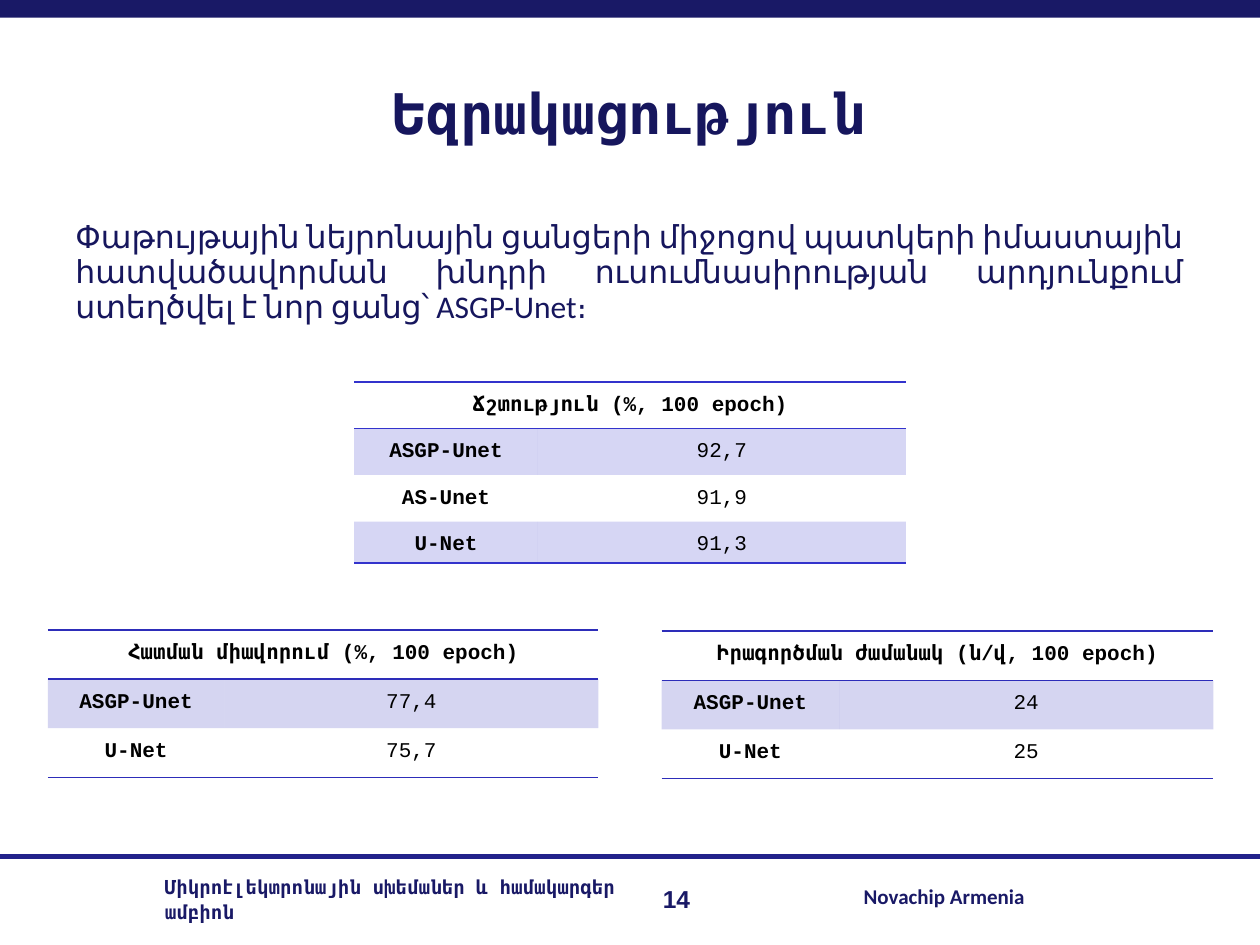
"""Build the conclusion slide with its three result tables."""
from dataclasses import dataclass

from lxml import etree
from pptx import Presentation
from pptx.dml.color import RGBColor
from pptx.enum.shapes import MSO_CONNECTOR, MSO_SHAPE
from pptx.enum.text import MSO_ANCHOR, PP_ALIGN
from pptx.oxml.ns import qn
from pptx.util import Inches, Pt

LEFT, CENTER, RIGHT, JUSTIFY = PP_ALIGN.LEFT, PP_ALIGN.CENTER, PP_ALIGN.RIGHT, PP_ALIGN.JUSTIFY
TOP, MIDDLE = MSO_ANCHOR.TOP, MSO_ANCHOR.MIDDLE
RECTANGLE, STRAIGHT = MSO_SHAPE.RECTANGLE, MSO_CONNECTOR.STRAIGHT
COLORS = {"bar": "191966", "rule": "22228B", "text": "16165D", "black": "000000",
          "accent": "3333CC", "accent_dark": "2D2DB9"}
NO_STYLE = "{2D5ABB26-0587-4C30-8999-92F81FD0307C}"
MONO = "Courier New"


@dataclass
class ResultTable:
    """One table of results: a merged heading over name and value rows."""
    at: tuple[float, float]
    columns: tuple[float, float]
    heights: list[float]
    color: str
    heading: str
    rows: list[tuple[str, str]]


TABLES = [
    ResultTable((2.81, 3.03), (1.46, 2.92), [0.37, 0.37, 0.37, 0.33], "accent",
                "Ճշտություն (%, 100 epoch)",
                [("ASGP-Unet", "92,7"), ("AS-Unet", "91,9"), ("U-Net", "91,3")]),
    ResultTable((0.38, 5), (1.4, 2.97), [0.39] * 3, "accent_dark",
                "Հատման միավորում (%, 100 epoch)",
                [("ASGP-Unet", "77,4"), ("U-Net", "75,7")]),
    ResultTable((5.25, 5.01), (1.41, 2.97), [0.39] * 3, "accent_dark",
                "Իրագործման ժամանակ (ն/վ, 100 epoch)",
                [("ASGP-Unet", "24"), ("U-Net", "25")]),
]


def rgb(name: str) -> RGBColor:
    """Return a named colour."""
    return RGBColor.from_string(COLORS[name])


def write(tf, text: str, *, size: float, font: str, color: str, bold: bool = True,
          align=LEFT, spacing: float = 0.93, before: float = 0) -> None:
    """Write one formatted paragraph, with a line break at each newline."""
    p = tf.paragraphs[0]
    p.alignment, p.line_spacing, p.space_before = align, spacing, Pt(before)
    for i, line in enumerate(text.split("\n")):
        if i:
            p.add_line_break()
        r = p.add_run()
        r.text = line
        r.font.size, r.font.name, r.font.bold = Pt(size), font, bold
        r.font.color.rgb = rgb(color)


def add_text(s, at: tuple[float, ...], text: str, *, top: float = 0.05, anchor=TOP,
             **style) -> None:
    """Add a wrapping text box."""
    tf = s.shapes.add_textbox(*map(Inches, at)).text_frame
    tf.word_wrap, tf.vertical_anchor = True, anchor
    tf.margin_left = tf.margin_right = Inches(0.1)
    tf.margin_top, tf.margin_bottom = Inches(top), Inches(0.05)
    write(tf, text, **style)


def add_border(cell, side: str, color: str) -> None:
    """Draw a one-point border on a side of a cell."""
    ln = etree.SubElement(cell._tc.get_or_add_tcPr(), qn(f"a:ln{side}"), w=str(Pt(1)))
    fill = etree.SubElement(ln, qn("a:solidFill"))
    etree.SubElement(fill, qn("a:srgbClr"), val=COLORS[color])


def fill_cell(cell, color: str | None) -> None:
    """Fill a cell with a light tint, or leave it clear."""
    if color is None:
        cell.fill.background()
        return
    cell.fill.solid()
    cell.fill.fore_color.rgb = rgb(color)
    tint = cell._tc.tcPr.find(f"{qn('a:solidFill')}/{qn('a:srgbClr')}")
    etree.SubElement(tint, qn("a:alpha"), val="20000")


def add_results(s, t: ResultTable) -> None:
    """Add a result table with ruled heading and tinted odd rows."""
    size = sum(t.columns), sum(t.heights)
    table = s.shapes.add_table(len(t.heights), 2, *map(Inches, t.at + size)).table
    table.first_row = table.horz_banding = False
    table._tbl.tblPr.find(qn("a:tableStyleId")).text = NO_STYLE
    for column, width in zip(table.columns, t.columns):
        column.width = Inches(width)
    for row, height in zip(table.rows, t.heights):
        row.height = Inches(height)
    table.cell(0, 0).merge(table.cell(0, 1))
    last = len(t.rows)
    for i, texts in enumerate([(t.heading, ""), *t.rows]):
        for j, text in enumerate(texts):
            cell = table.cell(i, j)
            cell.margin_left = cell.margin_right = Inches(0.07)
            cell.margin_top = cell.margin_bottom = 0
            if i == 0:
                add_border(cell, "T", t.color)
            if i in (0, last):
                add_border(cell, "B", t.color)
            fill_cell(cell, t.color if i % 2 else None)
            if text:
                write(cell.text_frame, text, size=12, font=MONO, color="black",
                      bold=j == 0, align=CENTER, spacing=1.5)


def add_frame(s) -> None:
    """Add the top bar, the footer rule and the footer texts."""
    bar = s.shapes.add_shape(RECTANGLE, 0, 0, Inches(10), Inches(0.14))
    bar.shadow.inherit = False
    bar.fill.solid()
    bar.fill.fore_color.rgb = rgb("bar")
    bar.line.fill.background()
    add_text(s, (6.18, 6.94, 2.05, 0.34), "Novachip Armenia", top=0.06, size=12,
             font="Calibri", color="bar", align=RIGHT, spacing=1.08, before=5.6)
    add_text(s, (1.21, 6.88, 3.84, 0.5), "Միկրոէլեկտրոնային սխեմաներ և համակարգեր\nամբիոն",
             size=11, font=MONO, color="bar", spacing=1.08, before=5.6)
    add_text(s, (4.97, 6.98, 0.66, 0.31), "14 ", top=0.06, size=14, font="Arial",
             color="bar", align=RIGHT)
    rule = s.shapes.add_connector(STRAIGHT, 0, Inches(6.8), Inches(10), Inches(6.8))
    rule.line.color.rgb, rule.line.width = rgb("rule"), Pt(3)
    etree.SubElement(rule._element.spPr, qn("a:effectLst"))


def main() -> None:
    """Build and save the slide."""
    prs = Presentation()
    prs.slide_width, prs.slide_height = Inches(10), Inches(7.5)
    s = prs.slides.add_slide(prs.slide_layouts[6])
    add_frame(s)
    add_text(s, (0.5, 1.67, 8.99, 5.03),
             "Փաթույթային նեյրոնային ցանցերի միջոցով պատկերի իմաստային հատվածավորման "
             "խնդրի ուսումնասիրության արդյունքում ստեղծվել է նոր ցանց՝ ASGP-Unet։",
             top=0.08, size=18, font="Calibri", color="text", bold=False,
             align=JUSTIFY, before=8)
    add_text(s, (0.5, 0.3, 8.99, 1.24), "Եզրակացություն", anchor=MIDDLE, size=32,
             font=MONO, color="text", align=CENTER)
    for table in TABLES:
        add_results(s, table)
    prs.save("out.pptx")


if __name__ == "__main__":
    main()
